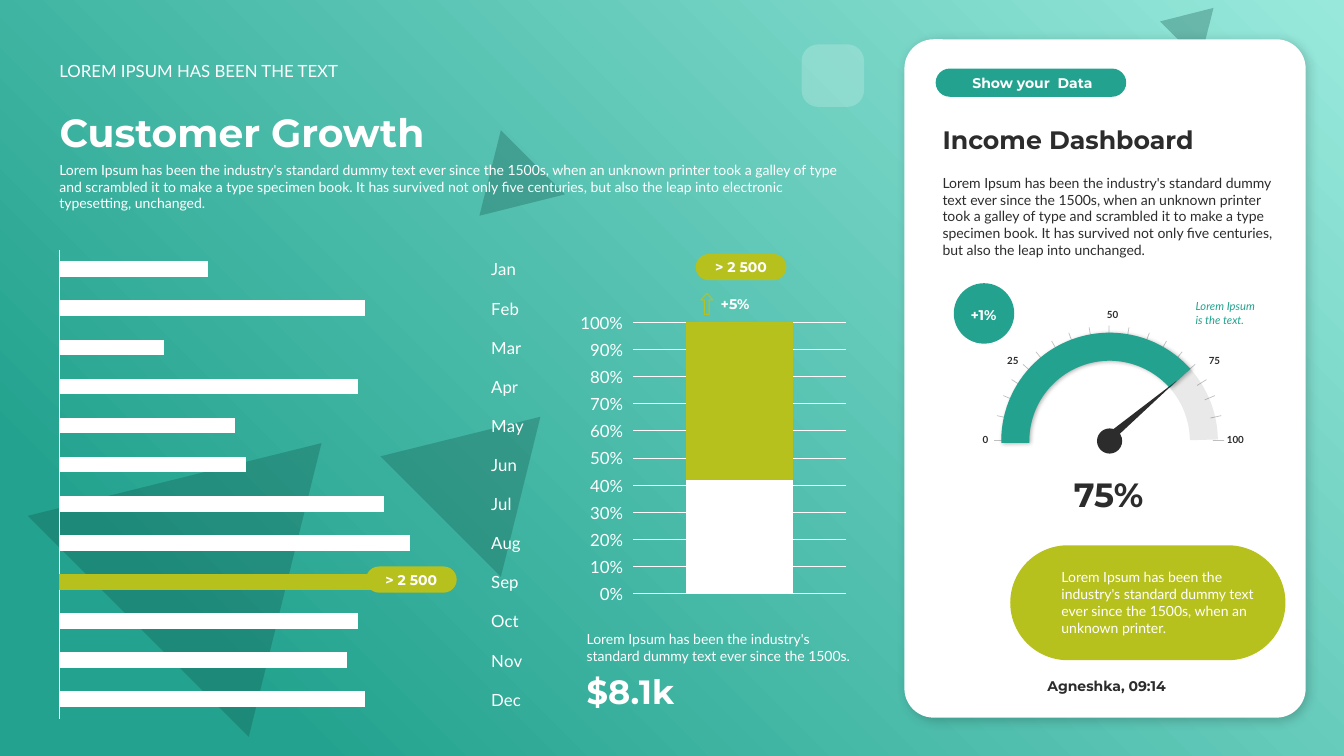
"""Builds the customer growth and income dashboard slide."""
from math import cos, radians, sin

from lxml.etree import SubElement, fromstring
from pptx import Presentation
from pptx.chart.data import CategoryChartData
from pptx.dml.color import RGBColor
from pptx.enum.chart import XL_CHART_TYPE, XL_TICK_LABEL_POSITION, XL_TICK_MARK
from pptx.enum.shapes import MSO_CONNECTOR, MSO_SHAPE
from pptx.enum.text import MSO_ANCHOR, MSO_AUTO_SIZE, PP_ALIGN
from pptx.oxml import parse_xml
from pptx.oxml.ns import nsdecls, qn
from pptx.util import Inches, Pt

WHITE, DARK, TEAL, LIME, SHADE = "FFFFFF", "2C2C2C", "23A38F", "B7C11E", "115248"
LATO, MONTSERRAT = "Lato", "Montserrat"
LEFT, CENTER, RIGHT = PP_ALIGN.LEFT, PP_ALIGN.CENTER, PP_ALIGN.RIGHT
TOP, MIDDLE, BOTTOM = MSO_ANCHOR.TOP, MSO_ANCHOR.MIDDLE, MSO_ANCHOR.BOTTOM
WIDTH, HEIGHT = 13.33, 7.5

TITLE = ("Customer Growth", (0.49, 1.02, 8.08, 0.57), 28, MONTSERRAT, WHITE, LEFT, BOTTOM)
INTRO = ("Lorem Ipsum has been the industry's standard dummy text ever since the 1500s, "
         "when an unknown printer took a galley of type and scrambled it to make a type "
         "specimen book. It has survived not only five centuries, but also the leap into ")
LEFT_TEXTS = [
    (INTRO + "electronic typesetting, unchanged.", (0.49, 1.55, 8.08, 0.61), 10, LATO, WHITE, LEFT, TOP),
    ("LOREM IPSUM HAS BEEN THE TEXT", (0.49, 0.55, 8.08, 0.3), 12, LATO, WHITE, LEFT, BOTTOM),
    ("$8.1k", (5.72, 6.61, 2.91, 0.5), 24, MONTSERRAT, WHITE, LEFT, BOTTOM),
    ("Lorem Ipsum has been the industry's standard dummy text ever since the 1500s.",
     (5.72, 6.2, 2.91, 0.44), 10, LATO, WHITE, LEFT, BOTTOM),
    ("+5%", (6.98, 2.88, 0.62, 0.27), 10, MONTSERRAT, WHITE, CENTER, TOP),
]
CARD_TEXTS = [
    (INTRO + "unchanged.", (9.25, 1.68, 3.5, 0.94), 10, LATO, DARK, LEFT, TOP),
    ("Income Dashboard", (9.25, 1.18, 3.5, 0.4), 18, MONTSERRAT, DARK, LEFT, BOTTOM),
    ("Show your  Data", (9.37, 0.69, 1.74, 0.27), 10, MONTSERRAT, WHITE, CENTER, MIDDLE),
    ("+1%", (9.41, 2.99, 0.69, 0.27), 10, MONTSERRAT, WHITE, CENTER, MIDDLE),
    ("75%", (9.8, 4.65, 2.39, 0.5), 24, MONTSERRAT, DARK, CENTER, BOTTOM),
    ("Lorem Ipsum has been the industry's standard dummy text ever since the 1500s, "
     "when an unknown printer.", (10.43, 5.59, 2.13, 0.77), 10, LATO, WHITE, LEFT, MIDDLE),
    ("Agneshka, 09:14", (10.29, 6.67, 2.28, 0.27), 10, MONTSERRAT, DARK, LEFT, BOTTOM),
]
NOTE = ("Lorem Ipsum is the text.", (11.76, 2.92, 0.87, 0.37), 8, LATO, TEAL, LEFT, MIDDLE)
GAUGE_LABELS = [
    ("0", (9.56, 4.22, 0.34, 0.28), RIGHT, MIDDLE), ("25", (9.79, 3.44, 0.41, 0.28), RIGHT, MIDDLE),
    ("50", (10.78, 2.95, 0.41, 0.28), RIGHT, BOTTOM), ("75", (11.89, 3.44, 0.41, 0.28), LEFT, MIDDLE),
    ("100", (12.07, 4.22, 0.59, 0.28), LEFT, MIDDLE),
]
TRIANGLES = [((0.73, 4.02, 3.1, 2.57), 45), ((4.02, 3.93, 1.69, 1.4), 45),
             ((4.57, 1.5, 0.9, 0.75), 225), ((11.59, 0.01, 0.56, 0.47), 45)]
CALLOUTS = [(6.9, 2.52, 0.9, 0.26), (3.63, 5.62, 0.9, 0.26)]
MONTHS = {"Jan": 40, "Feb": 82, "Mar": 28, "Apr": 80, "May": 47, "Jun": 50,
          "Jul": 87, "Aug": 94, "Sep": 100, "Oct": 80, "Nov": 77, "Dec": 82}
SHARES = [("Series 1", 42, WHITE), ("Series 2", 58, LIME)]
GAUGE_BOX, GAUGE_CENTER, TICK_RADII = (10.07, 3.44, 1.87, 1.87), (11, 4.37), (1.14, 1.03)
TICK_ANGLES = [0, 12.5, 23, 32, 41.5, 50.5, 60, 69.5, 80, 90]
ICON_CENTER = 8.265
FRONT_PERSON = [(0, 0.61), (0.04, 0.63), (0.06, 0.67), (0.05, 0.73), (0.03, 0.76),
                (0.035, 0.81), (0.07, 0.84), (0.11, 0.86), (0.12, 0.9)]
SIDE_PERSON = [(0.08, 0.65), (0.11, 0.65), (0.14, 0.68), (0.135, 0.73), (0.12, 0.77),
               (0.135, 0.815), (0.165, 0.84), (0.175, 0.86), (0.135, 0.86)]


def color(code):
    return RGBColor.from_string(code)


def set_alpha(fill_parent, percent):
    for node in fill_parent.iter(qn("a:srgbClr")):
        SubElement(node, qn("a:alpha")).set("val", str(percent * 1000))


def add_shadow(shape, alpha, blur, distance):
    effects = shape.element.spPr.find(qn("a:effectLst"))
    effects.append(parse_xml(
        f'<a:outerShdw {nsdecls("a")} blurRad="{Pt(blur)}" dist="{Pt(distance)}" dir="2700000" '
        f'algn="tl" rotWithShape="0"><a:srgbClr val="000000"><a:alpha val="{alpha * 1000}"/>'
        f'</a:srgbClr></a:outerShdw>'))


def style(shape, fill=None, line=None, weight=1, alpha=None):
    shape.shadow.inherit = False
    if fill:
        shape.fill.solid()
        shape.fill.fore_color.rgb = color(fill)
    else:
        shape.fill.background()
    if line:
        shape.line.color.rgb = color(line)
        shape.line.width = Pt(weight)
    else:
        shape.line.fill.background()
    if alpha:
        set_alpha(shape.element.spPr, alpha)
    return shape


def add_form(page, kind, box, adjustments=(), **look):
    shape = page.shapes.add_shape(kind, *map(Inches, box))
    for index, value in enumerate(adjustments):
        shape.adjustments[index] = value
    return style(shape, **look)


def write(shape, text, size, font, ink, align, anchor, italic=False, bold=None):
    frame = shape.text_frame
    frame.word_wrap = True
    frame.auto_size = MSO_AUTO_SIZE.NONE
    frame.vertical_anchor = anchor
    para = frame.paragraphs[0]
    para.alignment = align
    para.line_spacing = 1.0
    span = para.add_run()
    span.text = text
    span.font.name, span.font.size, span.font.color.rgb = font, Pt(size), color(ink)
    span.font.bold = font == MONTSERRAT if bold is None else bold
    span.font.italic = italic


def add_text(page, text, box, *look, **extra):
    write(page.shapes.add_textbox(*map(Inches, box)), text, *look, **extra)


def add_outline(page, points, closed):
    builder = page.shapes.build_freeform(*points[0], scale=Inches(1))
    builder.add_line_segments(points[1:], close=closed)
    style(builder.convert_to_shape(), line=WHITE, weight=1)


def add_people(page):
    add_form(page, MSO_SHAPE.ROUNDED_RECTANGLE, (7.95, 0.44, 0.62, 0.62), [0.265], fill=WHITE, alpha=20)
    left, right = ([(ICON_CENTER + side * x, y) for x, y in FRONT_PERSON] for side in (-1, 1))
    add_outline(page, left + right[::-1], True)
    for side in (-1, 1):
        add_outline(page, [(ICON_CENTER + side * x, y) for x, y in SIDE_PERSON], False)


def add_plot(page, kind, box, data, inner, gap, overlap):
    chart = page.shapes.add_chart(kind, *map(Inches, box), data).chart
    chart.has_legend = chart.has_title = False
    chart.font.name, chart.font.size, chart.font.color.rgb = LATO, Pt(12), color(WHITE)
    plot = chart.plots[0]
    plot.vary_by_categories, plot.gap_width, plot.overlap = False, gap, overlap
    area = chart.element.find(".//" + qn("c:plotArea"))
    for old in area.findall(qn("c:layout")):
        area.remove(old)
    places = "".join(f'<c:{key} val="{value}"/>' for key, value in zip("xywh", inner))
    area.insert(0, parse_xml(
        f'<c:layout {nsdecls("c")}><c:manualLayout><c:layoutTarget val="inner"/>'
        f'<c:xMode val="edge"/><c:yMode val="edge"/>{places}</c:manualLayout></c:layout>'))
    return chart


def paint(item, code):
    item.format.fill.solid()
    item.format.fill.fore_color.rgb = color(code)


def add_month_chart(page):
    data = CategoryChartData()
    data.categories = list(MONTHS)
    data.add_series("Series 1", list(MONTHS.values()))
    chart = add_plot(page, XL_CHART_TYPE.BAR_CLUSTERED, (0.49, 2.38, 4.76, 4.85), data,
                     (0.02, 0.02, 0.88, 0.96), 150, -25)
    series = chart.plots[0].series[0]
    paint(series, WHITE)
    paint(series.points[list(MONTHS).index("Sep")], LIME)
    months, values = chart.category_axis, chart.value_axis
    months.reverse_order = True
    months.major_tick_mark = XL_TICK_MARK.NONE
    months.tick_label_position = XL_TICK_LABEL_POSITION.HIGH
    months.format.line.color.rgb, months.format.line.width = color(WHITE), Pt(0.75)
    values.minimum_scale, values.maximum_scale = 0, 113
    values.has_major_gridlines = values.visible = False


def add_share_chart(page):
    data = CategoryChartData()
    data.categories = ["1"]
    for name, value, _ in SHARES:
        data.add_series(name, [value])
    chart = add_plot(page, XL_CHART_TYPE.COLUMN_STACKED_100, (5.7, 3.05, 2.75, 2.99), data,
                     (0.21, 0.05, 0.77, 0.9), 100, 100)
    for series, (_, _, code) in zip(chart.plots[0].series, SHARES):
        paint(series, code)
    chart.category_axis.visible = False
    values = chart.value_axis
    values.minimum_scale, values.maximum_scale, values.major_unit = 0, 1, 0.1
    values.tick_labels.number_format, values.tick_labels.number_format_is_linked = "0%", False
    values.format.line.fill.background()
    grid = values.major_gridlines.format.line
    grid.color.rgb, grid.width = color(WHITE), Pt(0.75)


def add_gauge(page):
    add_form(page, MSO_SHAPE.ARC, GAUGE_BOX, [108.1, 215.58], line=DARK, weight=20, alpha=10)
    add_form(page, MSO_SHAPE.OVAL, (10.88, 4.25, 0.25, 0.25), fill=DARK)
    for angle in TICK_ANGLES + [180 - angle for angle in TICK_ANGLES[:-1]]:
        ends = [Inches(length) for radius in TICK_RADII for length in
                (GAUGE_CENTER[0] - radius * cos(radians(angle)),
                 GAUGE_CENTER[1] - radius * sin(radians(angle)))]
        tick = page.shapes.add_connector(MSO_CONNECTOR.STRAIGHT, *ends)
        tick.line.color.rgb, tick.line.width = color(DARK), Pt(0.5)
        set_alpha(tick.element.spPr, 30)
        SubElement(tick.element.spPr, qn("a:effectLst"))
    for text, box, align, anchor in GAUGE_LABELS:
        add_text(page, text, box, 7, LATO, DARK, align, anchor, bold=True)
    progress = add_form(page, MSO_SHAPE.ARC, GAUGE_BOX, [107.34, 191.03], line=TEAL, weight=20)
    add_shadow(progress, 30, 3, 1)
    needle = add_form(page, MSO_SHAPE.ISOSCELES_TRIANGLE, (11.32, 3.63, 0.08, 0.82), fill=DARK)
    needle.rotation = 49.8


def add_backdrop(page):
    backdrop = add_form(page, MSO_SHAPE.RECTANGLE, (0, 0, WIDTH, HEIGHT), fill=TEAL)
    solid = backdrop.element.spPr.find(qn("a:solidFill"))
    solid.getparent().replace(solid, parse_xml(
        f'<a:gradFill {nsdecls("a")} rotWithShape="1"><a:gsLst><a:gs pos="0"><a:srgbClr val="98E9DC"/>'
        f'</a:gs><a:gs pos="85000"><a:srgbClr val="{TEAL}"/></a:gs></a:gsLst><a:path path="circle">'
        f'<a:fillToRect l="100000" b="100000"/></a:path><a:tileRect t="-100000" r="-100000"/></a:gradFill>'))
    for box, turn in TRIANGLES:
        add_form(page, MSO_SHAPE.ISOSCELES_TRIANGLE, box, fill=SHADE, alpha=30).rotation = turn


def main():
    deck = Presentation()
    deck.slide_width, deck.slide_height = Inches(WIDTH), Inches(HEIGHT)
    page = deck.slides.add_slide(deck.slide_layouts[5])
    pill = MSO_SHAPE.ROUNDED_RECTANGLE
    add_backdrop(page)
    card = add_form(page, pill, (8.97, 0.39, 3.98, 6.73), [0.073], fill=WHITE)
    add_shadow(card, 20, 8, 3)
    title = page.shapes.title
    title.left, title.top, title.width, title.height = map(Inches, TITLE[1])
    write(title, TITLE[0], *TITLE[2:])
    page.shapes.element.append(title.element)
    add_people(page)
    add_month_chart(page)
    add_share_chart(page)
    for box in CALLOUTS:
        callout = add_form(page, pill, box, [0.5], fill=LIME)
        frame = callout.text_frame
        frame.margin_left = frame.margin_right = frame.margin_top = frame.margin_bottom = 0
        write(callout, "> 2 500", 10, MONTSERRAT, WHITE, CENTER, MIDDLE)
    add_form(page, MSO_SHAPE.UP_ARROW, (6.95, 2.91, 0.12, 0.21), [0.4, 0.55], line=LIME, weight=0.75)
    add_form(page, pill, (9.28, 0.68, 1.89, 0.28), [0.5], fill=TEAL)
    add_gauge(page)
    add_form(page, MSO_SHAPE.OVAL, (9.46, 2.81, 0.6, 0.6), fill=TEAL)
    add_form(page, pill, (10.02, 5.41, 2.73, 1.14), [0.5], fill=LIME)
    for item in LEFT_TEXTS + CARD_TEXTS:
        add_text(page, *item)
    add_text(page, *NOTE, italic=True)
    deck.save("out.pptx")


if __name__ == "__main__":
    main()
